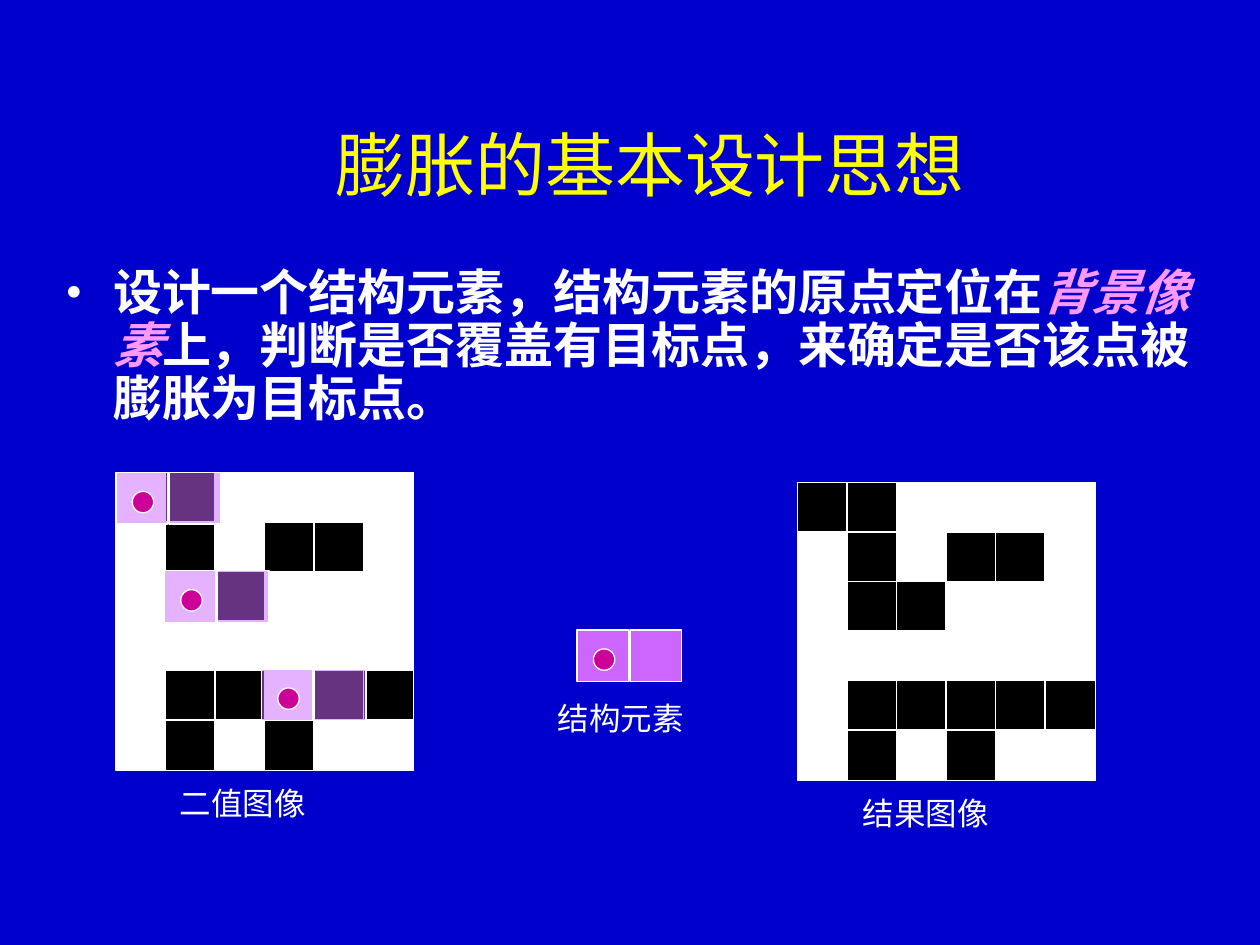
from lxml.etree import SubElement
from pptx import Presentation
from pptx.dml.color import RGBColor
from pptx.enum.shapes import MSO_SHAPE as Shape
from pptx.enum.text import MSO_ANCHOR as Anchor, PP_ALIGN as Align
from pptx.oxml.ns import qn
from pptx.util import Inches, Pt

CJK = "Noto Sans CJK SC"
SIDE, PITCH = 0.4, 0.393            # pixel cell and its grid step
PROBE_SIDE, PROBE_GAP = 0.41, 0.42  # structuring element cell and its step
PROBE_COLUMN, PROBE_ROW = 0.385, 0.39
DOT_SIZE = 0.17
BLACK, WHITE, PURPLE, MAGENTA = "000000", "FFFFFF", "CC66FF", "CC0099"


def add_figure(shapes, kind, left, top, size, color, alpha=100):
    """Add a white-outlined square or circle, optionally see-through."""
    figure = shapes.add_shape(kind, *map(Inches, (left, top, size, size)))
    figure.shadow.inherit = False
    figure.fill.solid()
    figure.fill.fore_color.rgb = RGBColor.from_string(color)
    if alpha < 100:
        tint = figure.fill._xPr.find(qn("a:solidFill"))[0]
        SubElement(tint, qn("a:alpha")).set("val", str(alpha * 1000))
    figure.line.color.rgb = RGBColor.from_string(WHITE)
    figure.line.width = Pt(0.75)


def add_text(shapes, left, top, width, height, pieces, size, latin=CJK, bold=False):
    """Add one paragraph made of (text, color, italic) pieces."""
    box = shapes.add_textbox(*map(Inches, (left, top, width, height)))
    box.text_frame.word_wrap = True
    para = box.text_frame.paragraphs[0]
    for text, color, italic in pieces:
        span = para.add_run()
        span.text = text
        span.font.size = Pt(size)
        span.font.name = latin
        span.font.bold = bold
        span.font.italic = italic
        span.font.color.rgb = RGBColor.from_string(color)
        SubElement(span.font._element, qn("a:ea")).set("typeface", CJK)
    return box


deck = Presentation()
deck.slide_width, deck.slide_height = Inches(10), Inches(7.5)
page = deck.slides.add_slide(deck.slide_layouts[6])
page.background.fill.solid()
page.background.fill.fore_color.rgb = RGBColor.from_string("0000CC")

# Title and idea
title = add_text(page.shapes, 1.28, 0.67, 7.76, 1.25,
                 [("膨胀的基本设计思想", "FFFF00", False)], 40)
title.text_frame.vertical_anchor = Anchor.MIDDLE
title.text_frame.paragraphs[0].alignment = Align.CENTER

idea = add_text(page.shapes, 0.42, 2.08, 9.33, 1.42, [
    ("设计一个结构元素，结构元素的原点定位在", WHITE, False),
    ("背景像素", "FF99FF", True),
    ("上，判断是否覆盖有目标点，来确定是否该点被膨胀为目标点。", WHITE, False),
], 28, bold=True)
para = idea.text_frame.paragraphs[0]
para.line_spacing = 0.9
properties = para._p.get_or_add_pPr()
properties.set("marL", str(Inches(0.38)))
properties.set("indent", str(-Inches(0.38)))
SubElement(SubElement(properties, qn("a:buClr")), qn("a:srgbClr")).set("val", WHITE)
SubElement(properties, qn("a:buFont")).set("typeface", "Times New Roman")
SubElement(properties, qn("a:buChar")).set("char", "•")

# Binary image and its dilation: "#" target, "+" target added by dilation
pixels = ["+#....",
          ".#.##.",
          ".+#...",
          "......",
          ".##+##",
          ".#.#.."]
images = [(0.92, 3.75, "#", "二值图像", 1.33, 6.17),
          (6.33, 3.83, "#+", "结果图像", 6.75, 6.25)]
for left, top, targets, caption, caption_left, caption_top in images:
    image = page.shapes.add_group_shape().shapes
    for row, line in enumerate(pixels):
        for column, mark in enumerate(line):
            add_figure(image, Shape.RECTANGLE, left + column * PITCH,
                       top + row * PITCH, SIDE, BLACK if mark in targets else WHITE)
    add_text(image, caption_left, caption_top, 1.42, 0.4,
             [(caption, WHITE, False)], 18, "Times New Roman")

# Structuring element, alone and laid over the pixels that dilation adds
probes = [(4.58, 5, 100)]
for column, row in [(0, 0), (1, 2), (3, 4)]:
    probes.append((0.92 + column * PROBE_COLUMN, 3.75 + row * PROBE_ROW, 50))
for left, top, alpha in probes:
    probe = page.shapes.add_group_shape().shapes
    for column in range(2):
        add_figure(probe, Shape.RECTANGLE, left + column * PROBE_GAP, top,
                   PROBE_SIDE, PURPLE, alpha)
    add_figure(probe, Shape.OVAL, left + 0.13, top + 0.15, DOT_SIZE, MAGENTA)
add_text(page.shapes, 4.33, 5.5, 1.42, 0.4,
         [("结构元素", WHITE, False)], 18, "Times New Roman")

deck.save("out.pptx")
